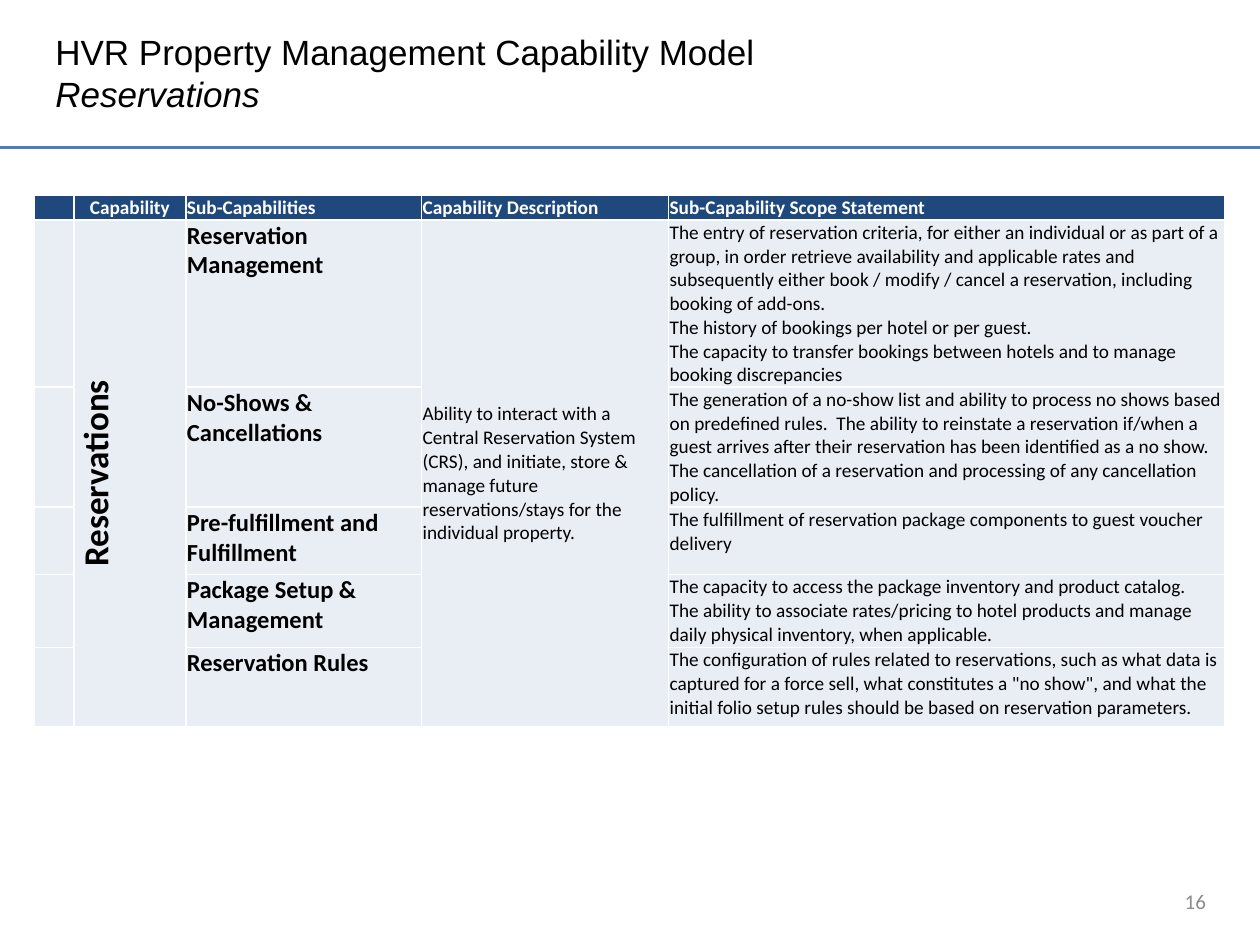
"""Builds the reservations slide of the property management capability model."""
from copy import deepcopy

from lxml import etree
from pptx import Presentation
from pptx.dml.color import RGBColor
from pptx.enum.shapes import MSO_CONNECTOR
from pptx.enum.text import MSO_ANCHOR, MSO_AUTO_SIZE, PP_ALIGN
from pptx.oxml.ns import qn
from pptx.util import Cm, Pt

STRAIGHT = MSO_CONNECTOR.STRAIGHT
TOP, MIDDLE = MSO_ANCHOR.TOP, MSO_ANCHOR.MIDDLE
LEFT, CENTER, RIGHT = PP_ALIGN.LEFT, PP_ALIGN.CENTER, PP_ALIGN.RIGHT
NO_AUTOFIT = MSO_AUTO_SIZE.NONE

BLACK = RGBColor(0, 0, 0)
WHITE = RGBColor(255, 255, 255)
NAVY = RGBColor(0x1F, 0x49, 0x7D)
PALE = RGBColor(0xE9, 0xED, 0xF4)
RULE = RGBColor(0x4B, 0x7E, 0xBC)
GREY = RGBColor(0x8C, 0x8C, 0x8C)

COLUMNS = [0.79, 2.26, 4.75, 4.98, 11.22]
ROWS = [0.5, 3.37, 2.42, 1.36, 1.47, 1.6]
HEADERS = ["", "Capability", "Sub-Capabilities", "Capability Description",
           "Sub-Capability Scope Statement"]
CAPABILITY = "Reservations"
DESCRIPTION = (
    "Ability to interact with a Central Reservation System (CRS), and initiate, "
    "store & manage future reservations/stays for the individual property.")
SCOPES = [
    ("Reservation Management",
     "The entry of reservation criteria, for either an individual or as part of a "
     "group, in order retrieve availability and applicable rates and subsequently "
     "either book / modify / cancel a reservation, including booking of add-ons.\n"
     "The history of bookings per hotel or per guest.\n"
     "The capacity to transfer bookings between hotels and to manage booking "
     "discrepancies"),
    ("No-Shows & Cancellations",
     "The generation of a no-show list and ability to process no shows based on "
     "predefined rules.  The ability to reinstate a reservation if/when a guest "
     "arrives after their reservation has been identified as a no show.  The "
     "cancellation of a reservation and processing of any cancellation policy."),
    ("Pre-fulfillment and Fulfillment",
     "The fulfillment of reservation package components to guest voucher delivery"),
    ("Package Setup & Management",
     "The capacity to access the package inventory and product catalog.\n"
     "The ability to associate rates/pricing to hotel products and manage daily "
     "physical inventory, when applicable."),
    ("Reservation Rules",
     "The configuration of rules related to reservations, such as what data is "
     "captured for a force sell, what constitutes a \"no show\", and what the "
     "initial folio setup rules should be based on reservation parameters."),
]


class Deck:
    def __init__(self, width, height):
        self.prs = Presentation()
        self.prs.slide_width, self.prs.slide_height = Cm(width), Cm(height)
        self.slide = self.prs.slides.add_slide(self.prs.slide_layouts[5])

    def style(self, tf, size, color, bold=False, align=LEFT, font="Calibri"):
        for p in tf.paragraphs:
            p.alignment = align
            for r in p.runs:
                r.font.name, r.font.size, r.font.bold = font, Pt(size), bold
                r.font.color.rgb = color

    def title(self, x, y, w, h, heading, subheading):
        sp = self.slide.shapes.title
        sp.left, sp.top, sp.width, sp.height = Cm(x), Cm(y), Cm(w), Cm(h)
        tf = sp.text_frame
        tf.text = f"{heading}\v{subheading}"
        tf.vertical_anchor, tf.auto_size = MIDDLE, NO_AUTOFIT
        self.style(tf, 20, BLACK, font="Arial")
        p = tf.paragraphs[0]
        p._p.find(qn("a:br")).append(deepcopy(p.runs[0].font._element))
        p.runs[1].font.italic = True

    def rule(self, x1, y1, x2, y2):
        line = self.slide.shapes.add_connector(STRAIGHT, Cm(x1), Cm(y1), Cm(x2), Cm(y2))
        line.line.color.rgb, line.line.width = RULE, Pt(1.5)
        etree.SubElement(line._element.spPr, qn("a:effectLst"))

    def text(self, x, y, w, h, text, size, color, align):
        tf = self.slide.shapes.add_textbox(Cm(x), Cm(y), Cm(w), Cm(h)).text_frame
        tf.word_wrap, tf.vertical_anchor = True, MIDDLE
        tf.text = text
        self.style(tf, size, color, align=align)

    def table(self, x, y, columns, rows):
        table = self.slide.shapes.add_table(
            len(rows), len(columns), Cm(x), Cm(y), Cm(sum(columns)), Cm(sum(rows))).table
        table.horz_banding = False
        for column, width in zip(table.columns, columns):
            column.width = Cm(width)
        for row, height in zip(table.rows, rows):
            row.height = Cm(height)
        for i in range(len(rows)):
            for cell in table.rows[i].cells:
                self.box(cell, PALE if i else NAVY)
        return table

    def box(self, cell, fill):
        cell.margin_left = cell.margin_right = cell.margin_top = Cm(0.02)
        cell.margin_bottom = 0
        tcPr = cell._tc.get_or_add_tcPr()
        for side in ("lnL", "lnR", "lnT", "lnB"):
            ln = etree.SubElement(tcPr, qn(f"a:{side}"), w=str(Pt(1)))
            solid = etree.SubElement(ln, qn("a:solidFill"))
            etree.SubElement(solid, qn("a:srgbClr"), val=str(WHITE))
        cell.fill.solid()
        cell.fill.fore_color.rgb = fill
        cell.text_frame.paragraphs[0]._p.get_or_add_endParaRPr().set("sz", "1100")

    def cell(self, cell, text, size=11, color=BLACK, bold=False, align=LEFT, anchor=TOP):
        cell.text_frame.text = text
        cell.vertical_anchor = anchor
        self.style(cell.text_frame, size, color, bold, align)


def main():
    deck = Deck(25.4, 19.05)
    deck.title(0.86, 0.33, 20.04, 2.26,
               "HVR Property Management Capability Model", CAPABILITY)
    deck.rule(0, 2.97, 25.4, 2.97)
    deck.text(18.64, 17.65, 5.92, 1.02, "16", 12, GREY, RIGHT)

    table = deck.table(0.7, 3.93, COLUMNS, ROWS)
    for j, header in enumerate(HEADERS):
        if header:
            deck.cell(table.cell(0, j), header, 11, WHITE, True,
                      CENTER if j == 1 else LEFT, MIDDLE)
    for i, (name, scope) in enumerate(SCOPES, 1):
        deck.cell(table.cell(i, 2), name, 14, bold=True)
        deck.cell(table.cell(i, 4), scope)
    for j in (1, 3):
        table.cell(1, j).merge(table.cell(len(SCOPES), j))
    deck.cell(table.cell(1, 1), CAPABILITY, 20, bold=True, align=CENTER, anchor=MIDDLE)
    table.cell(1, 1)._tc.get_or_add_tcPr().set("vert", "vert270")
    deck.cell(table.cell(1, 3), DESCRIPTION, anchor=MIDDLE)
    deck.prs.save("out.pptx")


if __name__ == "__main__":
    main()
